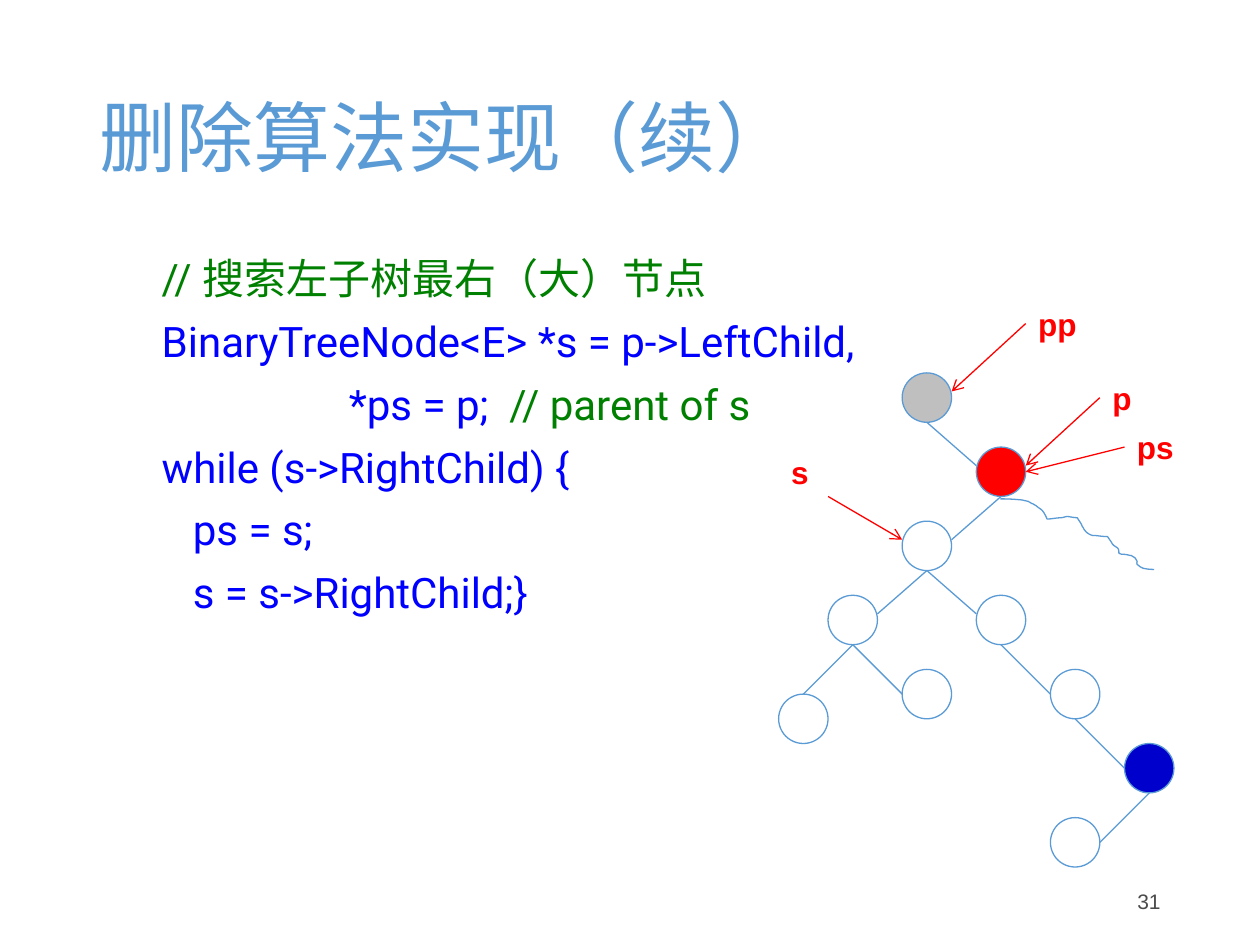
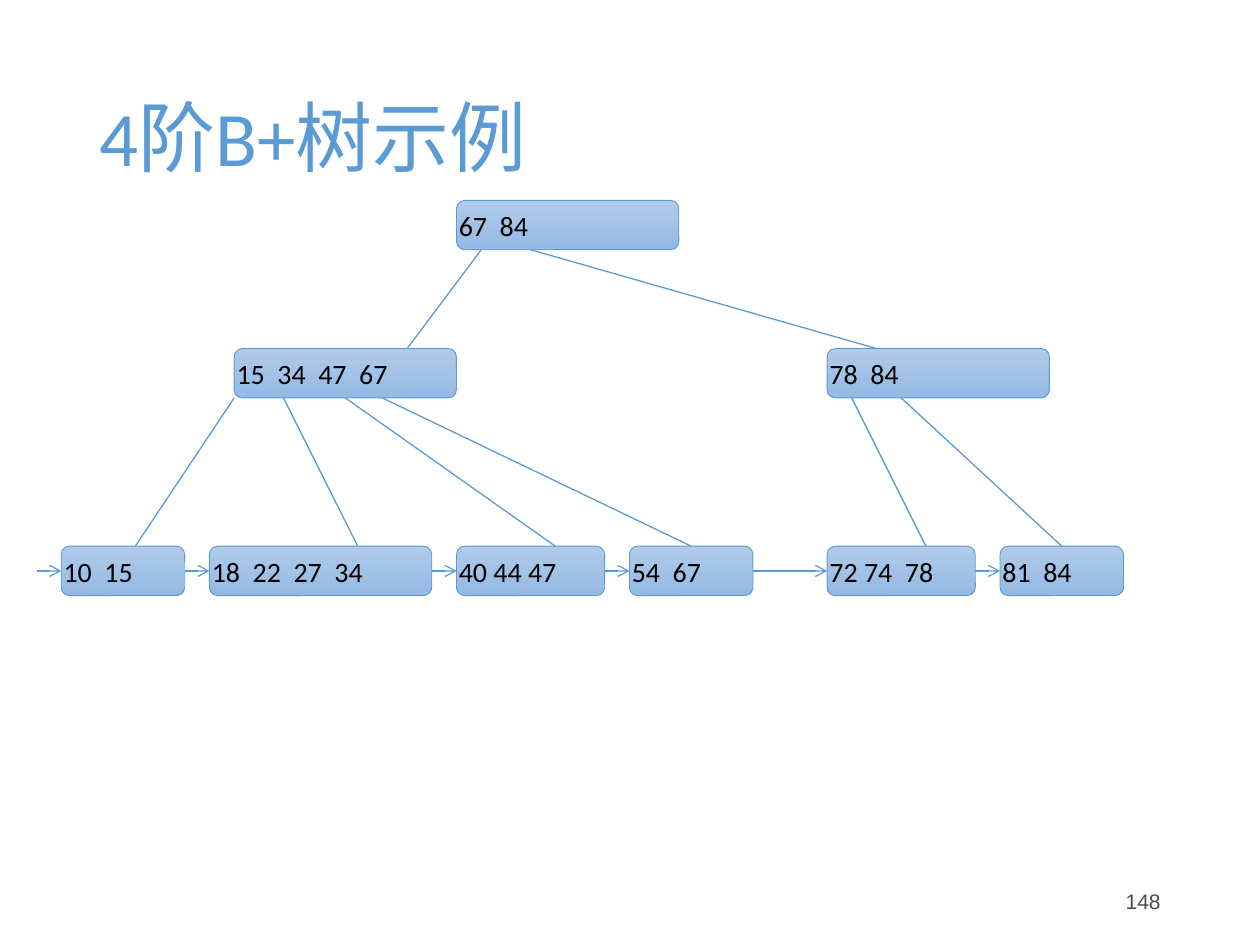
"""Two lecture slides: deleting from a binary search tree and an order-4 B+ tree."""
from lxml import etree
from pptx import Presentation
from pptx.dml.color import RGBColor
from pptx.enum.shapes import MSO_CONNECTOR, MSO_SHAPE
from pptx.enum.text import MSO_ANCHOR, PP_ALIGN
from pptx.oxml.ns import qn
from pptx.util import Inches, Pt

LEFT, RIGHT = PP_ALIGN.LEFT, PP_ALIGN.RIGHT
TOP, MIDDLE = MSO_ANCHOR.TOP, MSO_ANCHOR.MIDDLE
STRAIGHT = MSO_CONNECTOR.STRAIGHT
OVAL, ROUNDED = MSO_SHAPE.OVAL, MSO_SHAPE.ROUNDED_RECTANGLE

WIDTH, HEIGHT = 10, 7.5
UNIT = WIDTH / 51
COLORS = {"accent": "5B9BD5", "comment": "008000", "code": "0000FF", "pointer": "FF0000",
          "number": "4B4B4B", "key": "000000", "parent": "BFBFBF", "target": "FF0000",
          "rightmost": "0000CC", "key_top": "B1CBE9", "key_bottom": "93B9E4"}
FONTS = {
    "title": {"name": "Calibri", "size": Pt(44)},
    "code": {"name": "Roboto", "size": Pt(24)},
    "number": {"name": "Arial", "size": Pt(12)},
    "pointer": {"name": "Arial", "size": Pt(18), "bold": True},
    "key": {"name": "Calibri", "size": Pt(16)},
}
TITLE_BOX = (0.69, 0.4, 8.62, 1.45)
CODE_BOX = (0.69, 2, 8.62, 4.76)
NUMBER_BOX = (7.06, 6.95, 2.25, 0.4)

DELETION = {"title": "删除算法实现（续）", "number": "31"}
BPLUS = {"title": "4阶B+树示例", "number": "148"}

SPACE = 0.0825
CODE_LINES = [
    (6, [("// 搜索左子树最右（大）节点", "comment")]),
    (6, [("BinaryTreeNode<E> *s = p->LeftChild,", "code")]),
    (24, [("*ps = p;", "code"), ("  // parent of s", "comment")]),
    (6, [("while (s->RightChild) {", "code")]),
    (9, [("ps = s;", "code")]),
    (9, [("s = s->RightChild;}", "code")]),
]

SEARCH_ORIGIN = (6.18, 2.96)
NODE = 2
SEARCH_NODES = {
    "pp": (5, 0, "parent"), "p": (8, 3, "target"), "s": (5, 6, None),
    "s.left": (2, 9, None), "s.right": (8, 9, None),
    "left leaf": (0, 13, None), "right leaf": (5, 12, None),
    "descent": (11, 12, None), "rightmost": (14, 15, "rightmost"),
    "last leaf": (11, 18, None),
}
SEARCH_EDGES = [
    ("pp", "p", (0, 0.75)), ("p", "s", (2, 0.75)),
    ("s", "s.left", (2, 0.75)), ("s", "s.right", (0, 0.75)),
    ("s.left", "left leaf", (1, 0)), ("s.left", "right leaf", (0, 1)),
    ("s.right", "descent", (0, 1)), ("descent", "rightmost", (0, 1)),
    ("rightmost", "last leaf", (2, 1)),
]
POINTERS = [
    ("p", (13, 0), (13, 1), (10, 3.75)), ("pp", (10, -3), (10, -2), (7, 0.75)),
    ("s", (0, 3), (2, 5), (5, 6.75)), ("ps", (14, 2), (14, 3), (10, 4)),
]
LABEL_SIZE = (0.59, 0.4)
SUBTREE_CURVE = [
    (7.94, 3.96),
    (7.95, 3.96), (8.12, 3.96), (8.16, 3.98), (8.18, 3.99), (8.19, 4), (8.2, 4),
    (8.21, 4.01), (8.22, 4.01), (8.23, 4.02), (8.24, 4.03), (8.26, 4.04), (8.27, 4.05),
    (8.29, 4.07), (8.31, 4.12), (8.31, 4.12), (8.35, 4.12), (8.38, 4.11), (8.42, 4.11),
    (8.44, 4.11), (8.45, 4.1), (8.47, 4.1), (8.49, 4.1), (8.52, 4.11), (8.55, 4.11),
    (8.56, 4.13), (8.58, 4.15), (8.59, 4.18), (8.6, 4.19), (8.6, 4.2), (8.61, 4.21),
    (8.62, 4.23), (8.66, 4.25), (8.67, 4.25), (8.71, 4.25), (8.75, 4.26), (8.79, 4.26),
    (8.85, 4.34), (8.81, 4.31), (8.87, 4.35), (8.88, 4.36), (8.88, 4.38), (8.88, 4.39),
    (8.89, 4.4), (8.91, 4.4), (8.92, 4.4), (8.94, 4.4), (8.96, 4.41), (8.98, 4.41),
    (8.99, 4.42), (9, 4.42), (9.01, 4.43), (9.05, 4.48), (8.99, 4.46), (9.05, 4.5),
    (9.07, 4.52), (9.15, 4.52), (9.16, 4.52),
]
CURVE_STEPS = 4

BPLUS_ORIGIN = (0.29, 1.59)
BPLUS_LEVELS = [
    (0, [("67  84", 17, 9)]),
    (6, [("15  34  47  67", 8, 9), ("78  84", 32, 9)]),
    (14, [("10  15", 1, 5), ("18  22  27  34", 7, 9), ("40 44 47", 17, 6),
          ("54  67", 24, 5), ("72 74  78", 32, 6), ("81  84", 39, 5)]),
]
CHILD_LINKS = [
    [(18, 15, 0), (20, 34, 1)],
    [(8, 4, 0), (10, 13, 1), (12.5, 21, 2), (14, 26.5, 3), (33, 36, 4), (35, 41.5, 5)],
]


def color(name):
    return RGBColor.from_string(COLORS[name])


def apply(target, values):
    for attribute, value in values.items():
        setattr(target, attribute, value)


def on_grid(origin, column, row):
    return origin[0] + column * UNIT, origin[1] + row * UNIT


def write(paragraph, runs, font):
    for words, tint in runs:
        run = paragraph.add_run()
        run.text = words
        apply(run.font, FONTS[font])
        run.font.color.rgb = color(tint)


def add_text(slide, box, lines, font, anchor=MIDDLE, **layout):
    frame = slide.shapes.add_textbox(*map(Inches, box)).text_frame
    apply(frame, {"word_wrap": True, "vertical_anchor": anchor})
    for position, (indent, runs) in enumerate(lines):
        paragraph = frame.add_paragraph() if position else frame.paragraphs[0]
        apply(paragraph, layout)
        if indent:
            properties = paragraph._p.get_or_add_pPr()
            properties.set("marL", str(Inches(indent * SPACE)))
            properties.set("indent", "0")
        write(paragraph, runs, font)


def outline(shape, tint="accent", width=0.75):
    shape.line.color.rgb = color(tint)
    shape.line.width = Pt(width)


def add_line(slide, start, end, tint="accent", arrow=False):
    line = slide.shapes.add_connector(STRAIGHT, *map(Inches, (*start, *end)))
    outline(line, tint)
    if arrow:
        etree.SubElement(line.line._get_or_add_ln(), qn("a:tailEnd"), type="arrow")
    etree.SubElement(line._element.spPr, qn("a:effectLst"))
    return line


def add_slide(deck, heading):
    slide = deck.slides.add_slide(deck.slide_layouts[6])
    add_text(slide, TITLE_BOX, [(0, [(heading["title"], "accent")])], "title", line_spacing=0.9)
    add_text(slide, NUMBER_BOX, [(0, [(heading["number"], "number")])], "number", alignment=RIGHT)
    return slide


def add_node(slide, column, row, tint):
    place = (*on_grid(SEARCH_ORIGIN, column, row), NODE * UNIT, NODE * UNIT)
    node = slide.shapes.add_shape(OVAL, *map(Inches, place))
    node.shadow.inherit = False
    if tint:
        node.fill.solid()
        node.fill.fore_color.rgb = color(tint)
    else:
        node.fill.background()
    outline(node)


def curve_points(points):
    for first in range(0, len(points) - 1, 3):
        a, b, c, d = points[first:first + 4]
        for step in range(1, CURVE_STEPS + 1):
            t = step / CURVE_STEPS
            u = 1 - t
            yield tuple(Inches(u**3 * i + 3 * u * u * t * j + 3 * u * t * t * k + t**3 * m)
                        for i, j, k, m in zip(a, b, c, d))


def add_subtree(slide):
    builder = slide.shapes.build_freeform(*map(Inches, SUBTREE_CURVE[0]))
    builder.add_line_segments(list(curve_points(SUBTREE_CURVE)), close=False)
    subtree = builder.convert_to_shape()
    subtree.shadow.inherit = False
    subtree.fill.background()
    outline(subtree)


def build_deletion(deck):
    slide = add_slide(deck, DELETION)
    add_text(slide, CODE_BOX, CODE_LINES, "code", TOP, line_spacing=0.9, space_before=Pt(10))
    for node in SEARCH_NODES.values():
        add_node(slide, *node)
    for parent, child, (across, down) in SEARCH_EDGES:
        column, row, _ = SEARCH_NODES[parent]
        child_column, child_row, _ = SEARCH_NODES[child]
        add_line(slide, on_grid(SEARCH_ORIGIN, column + NODE / 2, row + NODE),
                 on_grid(SEARCH_ORIGIN, child_column + across, child_row + down))
    add_subtree(slide)
    for name, label, start, end in POINTERS:
        add_line(slide, on_grid(SEARCH_ORIGIN, *start), on_grid(SEARCH_ORIGIN, *end),
                 "pointer", arrow=True)
        add_text(slide, (*on_grid(SEARCH_ORIGIN, *label), *LABEL_SIZE),
                 [(0, [(name, "pointer")])], "pointer", TOP)


def add_keys(slide, keys, column, row, columns):
    place = (*on_grid(BPLUS_ORIGIN, column, row), columns * UNIT, NODE * UNIT)
    block = slide.shapes.add_shape(ROUNDED, *map(Inches, place))
    block.shadow.inherit = False
    block.fill.gradient()
    block.fill.gradient_angle = 270
    for stop, tint in zip(block.fill.gradient_stops, ("key_top", "key_bottom")):
        stop.color.rgb = color(tint)
    outline(block, width=0.5)
    apply(block.text_frame, {"margin_left": 0, "margin_top": 0, "margin_right": Inches(0.2),
                             "margin_bottom": 0, "vertical_anchor": MIDDLE, "word_wrap": True})
    paragraph = block.text_frame.paragraphs[0]
    paragraph.alignment = LEFT
    write(paragraph, [(keys, "key")], "key")
    return block


def build_bplus(deck):
    slide = add_slide(deck, BPLUS)
    levels = [[add_keys(slide, keys, column, row, columns) for keys, column, columns in blocks]
              for row, blocks in BPLUS_LEVELS]
    for depth, links in enumerate(CHILD_LINKS):
        row, (child_row, children) = BPLUS_LEVELS[depth][0], BPLUS_LEVELS[depth + 1]
        for start, end, child in links:
            link = add_line(slide, on_grid(BPLUS_ORIGIN, start, row + NODE),
                            on_grid(BPLUS_ORIGIN, end, child_row))
            _, column, columns = children[child]
            if end == column + columns / 2:
                link.end_connect(levels[depth + 1][child], 0)
    leaf_row, leaves = BPLUS_LEVELS[-1][0], levels[-1]
    entry = on_grid(BPLUS_ORIGIN, 0, leaf_row + NODE / 2)
    for previous, leaf in zip([None] + leaves, leaves):
        chain = add_line(slide, entry, entry, arrow=True)
        if previous:
            chain.begin_connect(previous, 3)
        chain.end_connect(leaf, 1)


def main():
    deck = Presentation()
    apply(deck, {"slide_width": Inches(WIDTH), "slide_height": Inches(HEIGHT)})
    build_deletion(deck)
    build_bplus(deck)
    deck.save("out.pptx")


if __name__ == "__main__":
    main()
